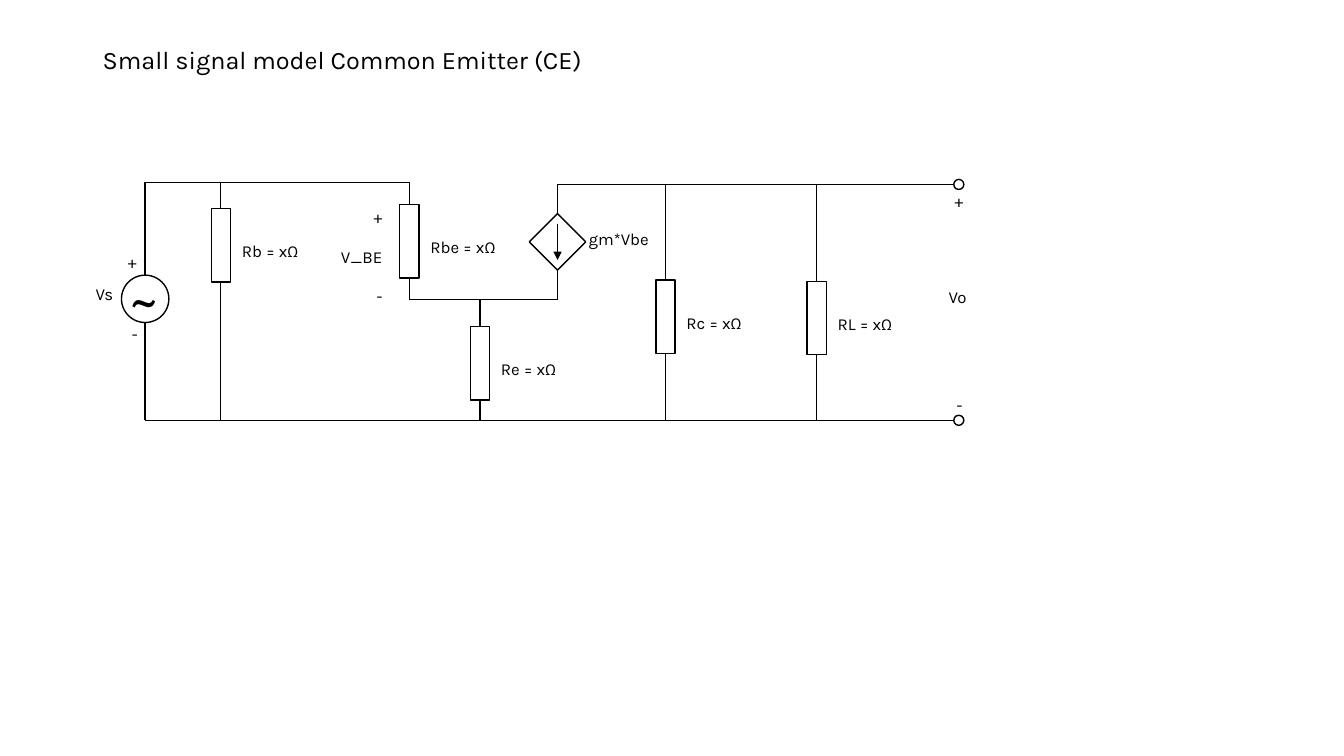
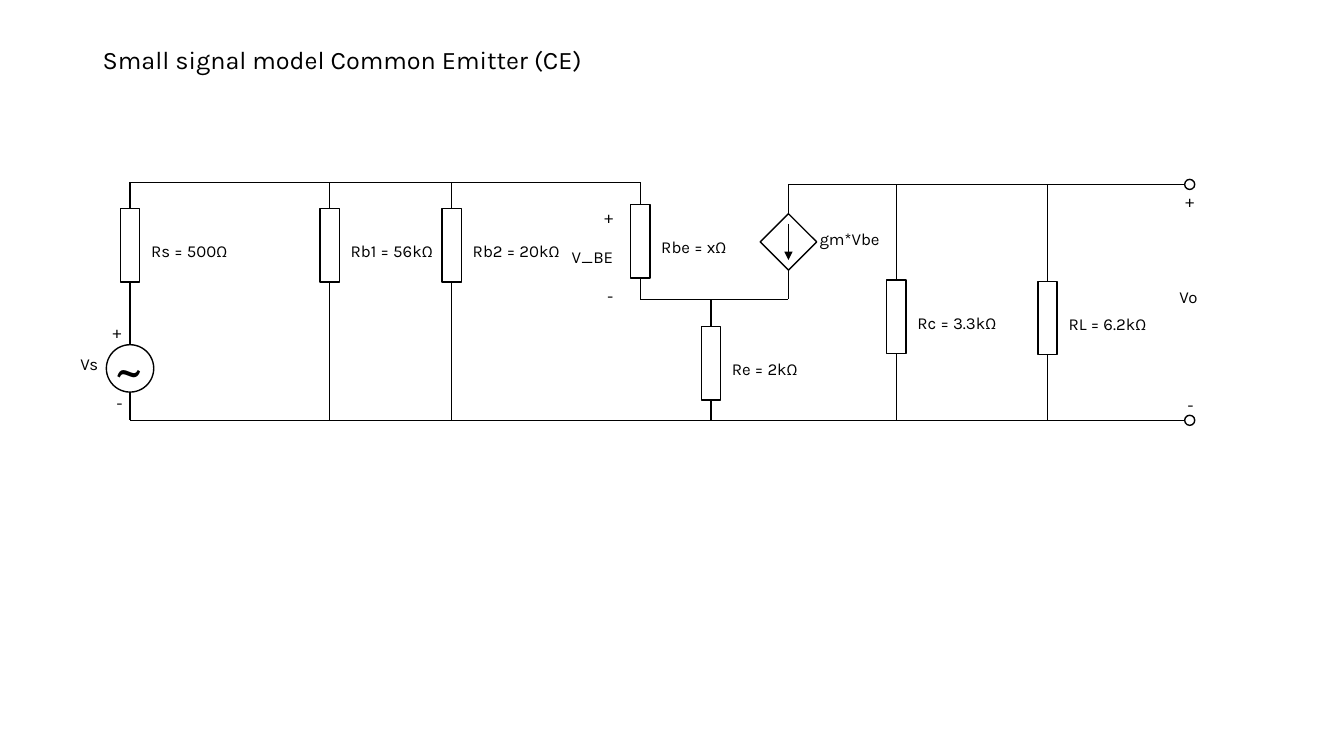
from pptx import Presentation
from pptx.dml.color import RGBColor
from pptx.enum.shapes import MSO_CONNECTOR, MSO_SHAPE
from pptx.enum.text import MSO_ANCHOR as Anchor, PP_ALIGN as Align
from pptx.oxml.ns import qn
from pptx.util import Inches, Pt
from lxml.etree import SubElement

COLORS = {"ink": "000000"}
FONT = "Karla"
TITLE = "Small signal model Common Emitter (CE)"

# Heights of the horizontal wires
BASE, COLLECTOR, EMITTER, GROUND = 1.81, 1.83, 2.97, 4.17

# Component sizes
BODY_W, BODY_H = 0.19, 0.73
SOURCE_D, DIAMOND_D, TERMINAL_D = 0.47, 0.56, 0.1

# Distances of the output stage from Rbe
RE_DX, CURRENT_DX, RC_DX, RL_DX, OUTPUT_DX = 0.7, 1.47, 2.54, 4.04, 5.45

# Base resistors are (name, x, value); loads are Re, Rc and RL
CIRCUITS = [
    {"source": (1.44, 2.73), "rs": None, "rbe_x": 4.06,
     "base": [("Rb", 2.19, "x")],
     "loads": {"Re": "x", "Rc": "x", "RL": "x"}},
    {"source": (1.29, 3.42), "rs": "500", "rbe_x": 6.35,
     "base": [("Rb1", 3.27, "56k"), ("Rb2", 4.48, "20k")],
     "loads": {"Re": "2k", "Rc": "3.3k", "RL": "6.2k"}},
]


def rgb(key):
    return RGBColor.from_string(COLORS[key])


def style_line(line):
    line.color.rgb = rgb("ink")
    line.width = Pt(1)


# Basic elements
def label(shapes, x, y, w, *lines, h=0.3, size=12, align=Align.LEFT,
          gap=0, spacing=None, anchor=Anchor.TOP):
    box = shapes.add_textbox(Inches(x), Inches(y), Inches(w), Inches(h))
    frame = box.text_frame
    frame.word_wrap = True
    frame.vertical_anchor = anchor
    for i, words in enumerate(lines):
        para = frame.paragraphs[0] if i == 0 else frame.add_paragraph()
        layout = {"alignment": align, "line_spacing": spacing,
                  "space_before": Pt(gap if i else 0)}
        for attr, value in layout.items():
            setattr(para, attr, value)
        run = para.add_run()
        run.text = words
        for attr, value in {"name": FONT, "size": Pt(size)}.items():
            setattr(run.font, attr, value)
        run.font.color.rgb = rgb("ink")


def wire(shapes, x1, y1, x2, y2, arrow=False):
    line = shapes.add_connector(MSO_CONNECTOR.STRAIGHT, Inches(x1), Inches(y1),
                                Inches(x2), Inches(y2))
    style_line(line.line)
    if arrow:
        SubElement(line.line._get_or_add_ln(), qn("a:tailEnd"), type="triangle")
    SubElement(line._element.spPr, qn("a:effectLst"))


def outline(shapes, kind, x, y, w, h):
    """Draw an unfilled shape centred on x with its top at y."""
    shape = shapes.add_shape(kind, Inches(x - w / 2), Inches(y),
                             Inches(w), Inches(h))
    shape.shadow.inherit = False
    shape.fill.background()
    style_line(shape.line)


# Circuit components
def resistor(slide, name, value, x, top, body, bottom):
    parts = slide.shapes.add_group_shape().shapes
    outline(parts, MSO_SHAPE.RECTANGLE, x, body, BODY_W, BODY_H)
    wire(parts, x, top, x, body)
    wire(parts, x, body + BODY_H, x, bottom)
    label(parts, x + 0.11, body + 0.27, 1.12, f"{name} = {value}Ω")


def voltage_source(slide, x, y):
    parts = slide.shapes.add_group_shape().shapes
    outline(parts, MSO_SHAPE.FLOWCHART_CONNECTOR, x, y, SOURCE_D, SOURCE_D)
    wire(parts, x, y + SOURCE_D, x, GROUND)
    label(parts, x - 0.59, y + 0.04, 0.5, "Vs")
    label(parts, x - 0.25, y - 0.15, 0.5, "~", h=0.77, size=40)
    label(parts, x - 0.27, y - 0.28, 0.3, "+")
    label(parts, x - 0.23, y + 0.43, 0.3, "-")


def current_source(slide, x):
    parts = slide.shapes.add_group_shape().shapes
    top = 2.12
    bottom = top + DIAMOND_D
    outline(parts, MSO_SHAPE.DIAMOND, x, top, DIAMOND_D, DIAMOND_D)
    wire(parts, x, top + 0.1, x, bottom - 0.1, arrow=True)
    wire(parts, x, COLLECTOR, x, top)
    wire(parts, x, bottom, x, EMITTER)
    label(parts, x + 0.21, 2.22, 0.88, "gm*Vbe")


def output_port(slide, x):
    for y in (COLLECTOR, GROUND):
        outline(slide.shapes, MSO_SHAPE.FLOWCHART_CONNECTOR, x,
                y - TERMINAL_D / 2, TERMINAL_D, TERMINAL_D)
    label(slide.shapes, x - 0.14, COLLECTOR + 0.01, 0.3, "+")
    label(slide.shapes, x - 0.2, 2.8, 0.5, "Vo")
    label(slide.shapes, x - 0.12, GROUND - 0.3, 0.3, "-")


# Whole circuit
def draw_circuit(slide, circuit):
    source_x, source_y = circuit["source"]
    rbe_x = circuit["rbe_x"]
    current_x, output_x = rbe_x + CURRENT_DX, rbe_x + OUTPUT_DX
    port_edge = output_x - TERMINAL_D / 2

    label(slide.shapes, 0.92, 0.4, 11.5, TITLE, h=0.41, size=18,
          spacing=0.9, anchor=Anchor.MIDDLE)

    # Horizontal wires
    for left, right, y in ((source_x, rbe_x, BASE),
                           (current_x, port_edge, COLLECTOR),
                           (rbe_x, current_x, EMITTER),
                           (source_x, port_edge, GROUND)):
        wire(slide.shapes, left, y, right, y)

    # Input side
    voltage_source(slide, source_x, source_y)
    if circuit["rs"]:
        resistor(slide, "Rs", circuit["rs"], source_x, BASE, 2.07, source_y)
    else:
        wire(slide.shapes, source_x, BASE, source_x, source_y)
    for name, x, value in circuit["base"]:
        resistor(slide, name, value, x, BASE, 2.07, GROUND)

    # Transistor
    resistor(slide, "Rbe", "x", rbe_x, BASE, 2.03, EMITTER)
    label(slide.shapes, rbe_x - 0.89, 2, 0.72, "+", "V_BE", "-", h=1.11,
          align=Align.RIGHT, gap=14)
    current_source(slide, current_x)

    # Emitter resistor and output side
    for name, dx, top, body in (("Re", RE_DX, EMITTER, 3.24),
                                ("Rc", RC_DX, COLLECTOR, 2.78),
                                ("RL", RL_DX, COLLECTOR, 2.79)):
        resistor(slide, name, circuit["loads"][name], rbe_x + dx, top, body, GROUND)
    output_port(slide, output_x)


def main():
    deck = Presentation()
    deck.slide_width, deck.slide_height = Inches(13.33), Inches(7.5)
    for circuit in CIRCUITS:
        draw_circuit(deck.slides.add_slide(deck.slide_layouts[6]), circuit)
    deck.save("out.pptx")


if __name__ == "__main__":
    main()
